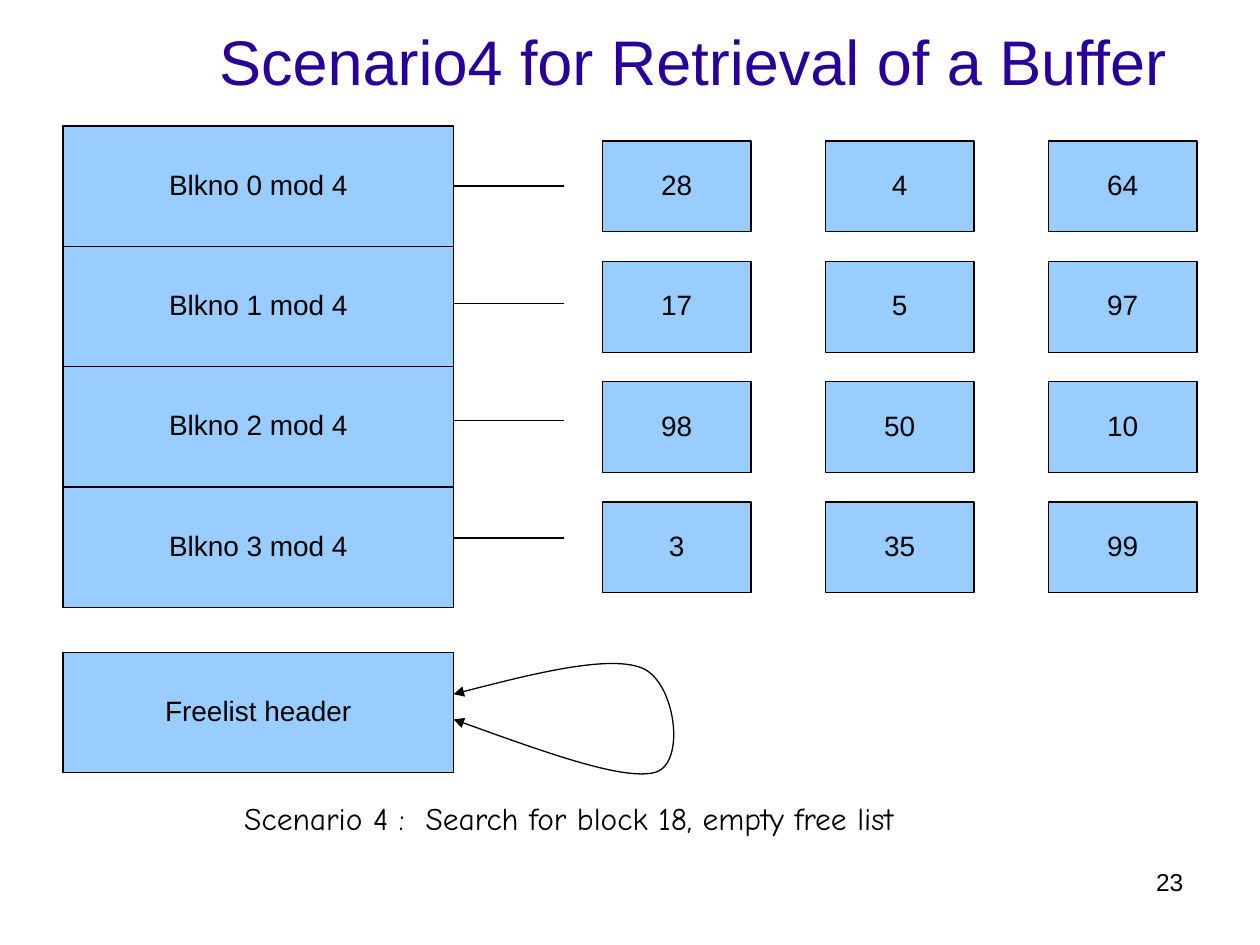
from pptx import Presentation
from pptx.dml.color import RGBColor
from pptx.enum.shapes import MSO_CONNECTOR, MSO_SHAPE
from pptx.enum.text import MSO_ANCHOR, MSO_AUTO_SIZE, PP_ALIGN
from pptx.oxml.ns import qn
from pptx.oxml.xmlchemy import OxmlElement
from pptx.util import Inches, Pt

RECTANGLE = MSO_SHAPE.RECTANGLE
STRAIGHT = MSO_CONNECTOR.STRAIGHT
MIDDLE = MSO_ANCHOR.MIDDLE
CENTER = PP_ALIGN.CENTER
RIGHT = PP_ALIGN.RIGHT
FIT_SHAPE = MSO_AUTO_SIZE.SHAPE_TO_FIT_TEXT

BLACK = RGBColor(0x00, 0x00, 0x00)
LIGHT_BLUE = RGBColor(0x99, 0xCC, 0xFF)
INDIGO = RGBColor(0x28, 0x00, 0x99)

RIGHT_SIDE = 3
ROW_PITCH = 3.82 / 4

prs = Presentation()
prs.slide_width = Inches(10)
prs.slide_height = Inches(7.5)
slide = prs.slides.add_slide(prs.slide_layouts[5])


def write(paragraph, text, size, font="Arial", color=BLACK):
    run = paragraph.add_run()
    run.text = text
    run.font.size = Pt(size)
    run.font.name = font
    run.font.color.rgb = color


def add_box(text, left, top, width, height):
    box = slide.shapes.add_shape(
        RECTANGLE, Inches(left), Inches(top), Inches(width), Inches(height))
    box.shadow.inherit = False
    box.fill.solid()
    box.fill.fore_color.rgb = LIGHT_BLUE
    box.line.color.rgb = BLACK
    box.line.width = Pt(0.75)
    frame = box.text_frame
    frame.word_wrap = False
    frame.vertical_anchor = MIDDLE
    paragraph = frame.paragraphs[0]
    paragraph.alignment = CENTER
    paragraph.line_spacing = 0.89
    write(paragraph, text, 16)
    return box


# Title
title = slide.shapes.title
title.left, title.top = Inches(1), Inches(0)
title.width, title.height = Inches(9), Inches(1)
heading = title.text_frame
heading.margin_left = heading.margin_right = 0
heading.margin_top = heading.margin_bottom = 0
heading.word_wrap = True
heading.vertical_anchor = MIDDLE
heading.auto_size = FIT_SHAPE
heading_line = heading.paragraphs[0]
heading_line.alignment = CENTER
heading_line.line_spacing = 0.98
heading_line.space_before = Pt(11)
write(heading_line, "Scenario4 for Retrieval of a Buffer", 36, color=INDIGO)

# Hash queues: header, link and buffers in each row
queues = [(28, 4, 64), (17, 5, 97), (98, 50, 10), (3, 35, 99)]
for row, buffers in enumerate(queues):
    row_top = 1 + row * ROW_PITCH
    header = add_box(f"Blkno {row} mod 4", 0.5, row_top, 3.1, ROW_PITCH)

    link_y = Inches(1.48 + row * 0.93)
    link = slide.shapes.add_connector(
        STRAIGHT, Inches(3.6), link_y, Inches(4.48), link_y)
    link.line.color.rgb = BLACK
    link.line.width = Pt(0.75)
    link._element.spPr.append(OxmlElement("a:effectLst"))
    if row == 0:  # only the first link leaves from the middle of its header
        link.begin_connect(header, RIGHT_SIDE)
        link.end_y = link.begin_y

    for column, block in enumerate(buffers):
        add_box(str(block), 4.78 + column * 1.77, row_top + 0.12, 1.18, 0.72)

# Empty free list
add_box("Freelist header", 0.5, 5.18, 3.1, 0.95)

# Loop back to the free list header: start, then three points per Bezier curve
loop_points = [
    (4.21, 5.35), (4.83, 5.2), (5.09, 5.3),
    (5.36, 5.4), (5.45, 6.06), (5.2, 6.13),
    (4.95, 6.2), (4.27, 5.95), (3.6, 5.71),
]
builder = slide.shapes.build_freeform(Inches(3.6), Inches(5.51))
builder.add_line_segments(
    [(Inches(x), Inches(y)) for x, y in loop_points], close=False)
loop = builder.convert_to_shape()
loop.shadow.inherit = False
loop.fill.background()
loop.line.color.rgb = BLACK
loop.line.width = Pt(0.75)

# Turn each group of three segments into one curve
segments = list(loop._element.iter(qn("a:lnTo")))
for start in range(0, len(segments), 3):
    curve = OxmlElement("a:cubicBezTo")
    segments[start].addprevious(curve)
    for segment in segments[start:start + 3]:
        curve.append(segment[0])
        segment.getparent().remove(segment)

# Arrowheads at both ends
for tag in ("a:headEnd", "a:tailEnd"):
    arrowhead = OxmlElement(tag)
    arrowhead.set("type", "triangle")
    loop.line._get_or_add_ln().append(arrowhead)

# Caption
caption = slide.shapes.add_textbox(
    Inches(1.84), Inches(6.29), Inches(5.37), Inches(0.4)).text_frame
caption.word_wrap = False
caption.auto_size = FIT_SHAPE
write(caption.paragraphs[0],
      "Scenario 4 :  Search for block 18, empty free list", 18, "Comic Neue")

# Page number
page_number = slide.shapes.add_textbox(
    Inches(7.17), Inches(6.83), Inches(2.32), Inches(0.52)).text_frame
page_number.word_wrap = True
page_number.paragraphs[0].alignment = RIGHT
write(page_number.paragraphs[0], "23", 14)

prs.save("out.pptx")
